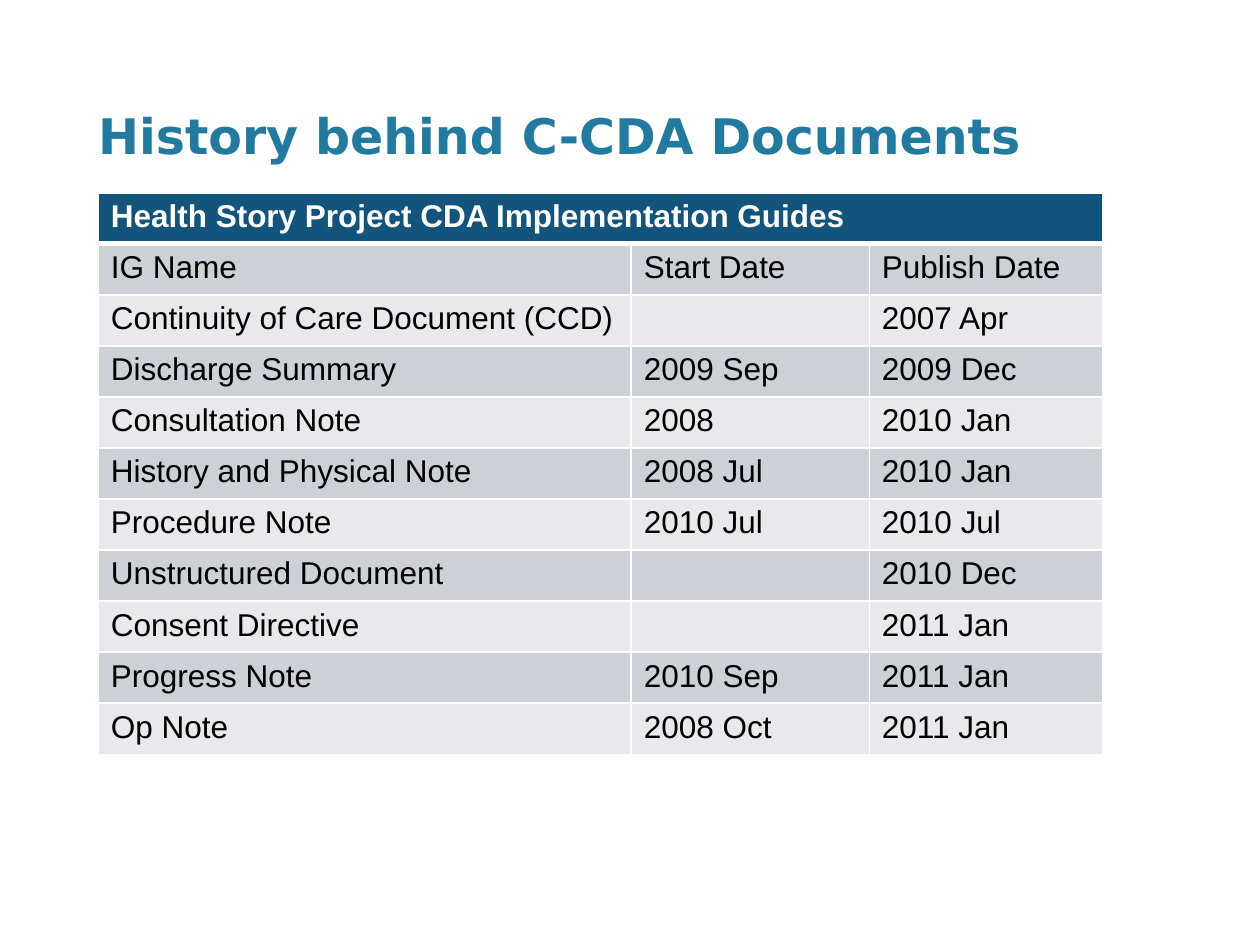
import pptx
import pptx.dml.color
import pptx.enum.text
import pptx.oxml
import pptx.oxml.ns
import pptx.util
from pptx.util import Inches

TITLE = "History behind C-CDA Documents"
TABLE_HEADING = "Health Story Project CDA Implementation Guides"
GUIDES = [
    ("IG Name", "Start Date", "Publish Date"),
    ("Continuity of Care Document (CCD)", "", "2007 Apr"),
    ("Discharge Summary", "2009 Sep", "2009 Dec"),
    ("Consultation Note", "2008", "2010 Jan"),
    ("History and Physical Note", "2008 Jul", "2010 Jan"),
    ("Procedure Note", "2010 Jul", "2010 Jul"),
    ("Unstructured Document", "", "2010 Dec"),
    ("Consent Directive", "", "2011 Jan"),
    ("Progress Note", "2010 Sep", "2011 Jan"),
    ("Op Note", "2008 Oct", "2011 Jan"),
]
COLUMN_WIDTHS = (4.23, 1.89, 1.85)
LEFT, WIDTH = 0.78, sum(COLUMN_WIDTHS)
TABLE_TOP, TABLE_HEIGHT = 1.53, 4.46
WHITE, BLACK, TITLE_BLUE, HEADING_BLUE = "FFFFFF", "000000", "217AA0", "13547D"
BANDS = ("CCD1D7", "E7E9EC")


def rgb(color):
    return pptx.dml.color.RGBColor.from_string(color)


def write(frame, text, size=18, font="Arial", color=BLACK, bold=False):
    para = frame.paragraphs[0]
    para.font.size = pptx.util.Pt(size)
    if text:
        span = para.add_run()
        span.text = text
        span.font.name = font
        span.font.size = pptx.util.Pt(size)
        span.font.bold = bold
        span.font.color.rgb = rgb(color)


def add_title(page):
    box = page.shapes.add_textbox(Inches(LEFT), Inches(0.63), Inches(WIDTH), Inches(0.88))
    frame = box.text_frame
    frame.word_wrap = True
    frame.margin_left = 0
    frame.vertical_anchor = pptx.enum.text.MSO_ANCHOR.MIDDLE
    write(frame, TITLE, size=28, font="DejaVu Sans", color=TITLE_BLUE, bold=True)


def set_borders(cell, top=1, bottom=1):
    """Give the cell white borders; widths are in points."""
    properties = cell._tc.get_or_add_tcPr()
    for side, points in (("L", 1), ("R", 1), ("T", top), ("B", bottom)):
        properties.append(pptx.oxml.parse_xml(
            f'<a:ln{side} {pptx.oxml.ns.nsdecls("a")} w="{pptx.util.Pt(points)}">'
            f'<a:solidFill><a:srgbClr val="{WHITE}"/></a:solidFill></a:ln{side}>'
        ))


def format_cell(cell, text, fill, top=1, bottom=1, **font):
    set_borders(cell, top, bottom)
    cell.fill.solid()
    cell.fill.fore_color.rgb = rgb(fill)
    write(cell.text_frame, text, **font)


def add_guides_table(page):
    rows = len(GUIDES) + 1
    table = page.shapes.add_table(
        rows, len(COLUMN_WIDTHS),
        Inches(LEFT), Inches(TABLE_TOP), Inches(WIDTH), Inches(TABLE_HEIGHT),
    ).table
    for column, width in zip(table.columns, COLUMN_WIDTHS):
        column.width = Inches(width)
    for row in table.rows:
        row.height = Inches(TABLE_HEIGHT / rows)

    table.cell(0, 0).merge(table.cell(0, len(COLUMN_WIDTHS) - 1))
    for col, text in enumerate((TABLE_HEADING, "", "")):
        format_cell(table.cell(0, col), text, HEADING_BLUE, bottom=3, color=WHITE, bold=True)
    for index, guide in enumerate(GUIDES):
        for col, text in enumerate(guide):
            format_cell(table.cell(index + 1, col), text, BANDS[index % 2],
                        top=3 if index == 0 else 1)


def main():
    deck = pptx.Presentation()
    deck.slide_width, deck.slide_height = Inches(10), Inches(7.5)
    page = deck.slides.add_slide(deck.slide_layouts[6])
    add_title(page)
    add_guides_table(page)
    deck.save("out.pptx")


if __name__ == "__main__":
    main()
